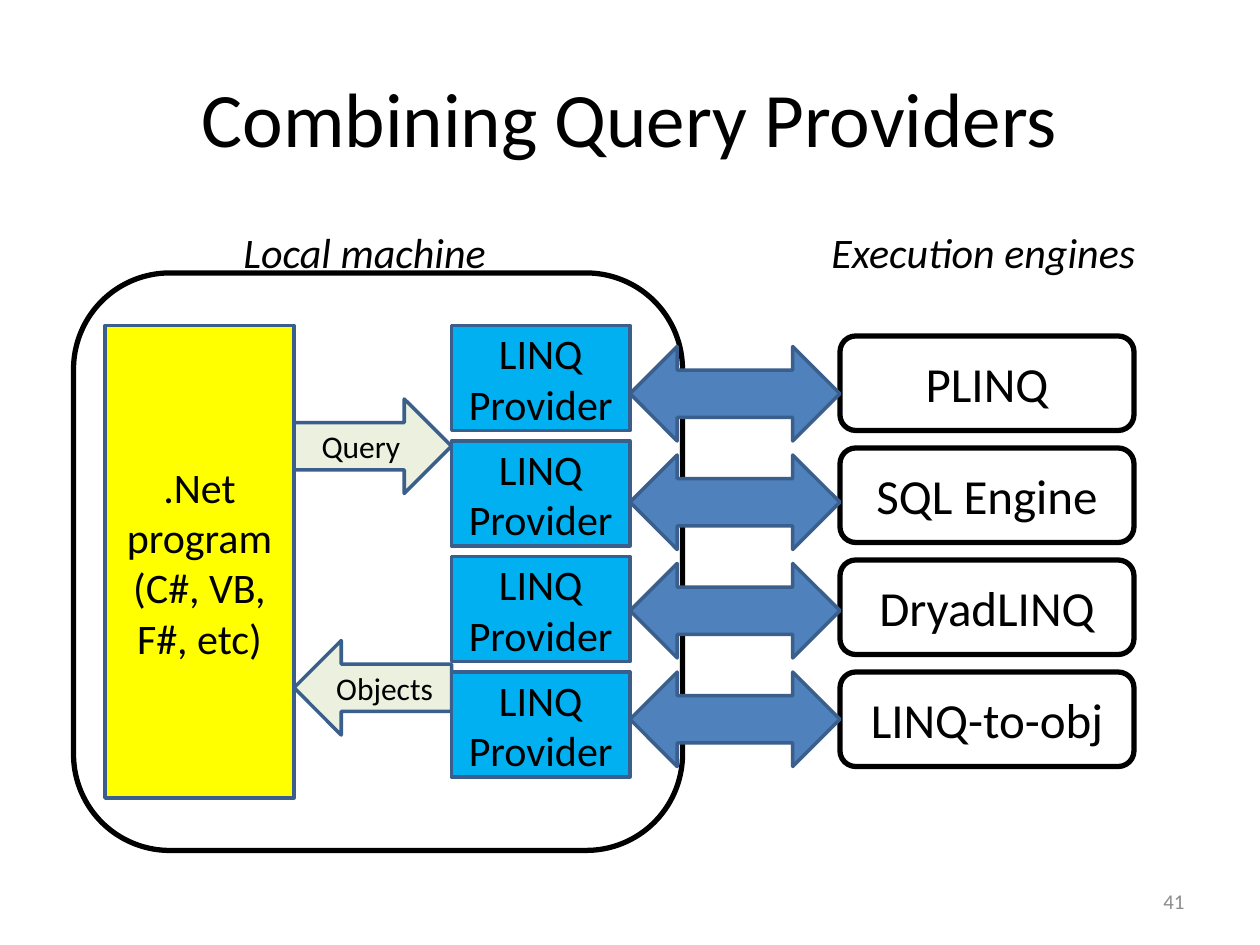
from pptx import Presentation
from pptx.dml.color import RGBColor
from pptx.enum.shapes import MSO_SHAPE
from pptx.enum.text import MSO_ANCHOR, PP_ALIGN
from pptx.util import Inches, Pt

RECT, ROUNDED = MSO_SHAPE.RECTANGLE, MSO_SHAPE.ROUNDED_RECTANGLE
RIGHT, LEFT, BOTH = MSO_SHAPE.RIGHT_ARROW, MSO_SHAPE.LEFT_ARROW, MSO_SHAPE.LEFT_RIGHT_ARROW
MIDDLE, TOP = MSO_ANCHOR.MIDDLE, MSO_ANCHOR.TOP
CENTER, ALIGN_LEFT, ALIGN_RIGHT = PP_ALIGN.CENTER, PP_ALIGN.LEFT, PP_ALIGN.RIGHT

CELLS_PER_INCH = 12
BLACK, GREY, EDGE = "000000", "8C8C8C", "3A5F8C"
YELLOW, CYAN, PALE, BLUE = "FFFF00", "00B0F0", "EBF1DE", "4F81BD"
ENGINES = ["PLINQ", "SQL Engine", "DryadLINQ", "LINQ-to-obj"]
LAST_ROW = 64


def colour(value):
    """Turn a hex string into a colour."""
    return RGBColor.from_string(value)


def cells(*lengths):
    """Turn grid columns and rows into lengths."""
    return [Inches(length / CELLS_PER_INCH) for length in lengths]


def write(shape, paragraphs, size, align=CENTER, anchor=MIDDLE, wrap=True, ink=BLACK, italic=False):
    """Fill a shape with formatted paragraphs."""
    frame = shape.text_frame
    frame.text = "\n".join(paragraphs)
    frame.word_wrap = wrap
    frame.vertical_anchor = anchor
    style = {"name": "Calibri", "size": Pt(size), "italic": italic}
    for para in frame.paragraphs:
        para.alignment = align
        for span in para.runs:
            for name, value in style.items():
                setattr(span.font, name, value)
            span.font.color.rgb = colour(ink)


def add_block(page, kind, box, fill=None, edge=EDGE, weight=2):
    """Draw one outlined preset shape in a grid box."""
    shape = page.shapes.add_shape(kind, *cells(*box))
    shape.shadow.inherit = False
    if fill:
        shape.fill.solid()
        shape.fill.fore_color.rgb = colour(fill)
    else:
        shape.fill.background()
    shape.line.color.rgb = colour(edge)
    shape.line.width = Pt(weight)
    return shape


def add_label(page, box, text, size, **style):
    """Place a line of free text in a grid box."""
    write(page.shapes.add_textbox(*cells(*box)), [text], size, **style)


def stack(box, count):
    """Spread equal boxes evenly from the given one down to the last row."""
    left, top, width, height = box
    step = (LAST_ROW - top) / (count - 1)
    return [(left, top + step * index, width, height) for index in range(count)]


def add_title(page, box):
    """Format the title placeholder."""
    title = page.shapes.title
    title.left, title.top, title.width, title.height = cells(*box)
    write(title, ["Combining Query Providers"], 44)


def add_local_machine(page, box):
    """Draw the program, its messages and the providers inside the machine."""
    left, top, width, height = box
    add_block(page, ROUNDED, box, edge=BLACK, weight=3)
    add_label(page, (left + 15, top - 5, 25.8, 6), "Local machine", 24,
              align=ALIGN_LEFT, anchor=TOP, wrap=False, italic=True)
    program = add_block(page, RECT, (left + 3, top + 5, 18, height - 10), YELLOW)
    write(program, [".Net\vprogram", "(C#, VB, F#, etc)"], 24)
    for kind, row, text in ((RIGHT, 12, "Query"), (LEFT, 35, "Objects")):
        message = add_block(page, kind, (left + 21, top + row, 15, 9), PALE)
        write(message, [text], 18, wrap=False)
    for place in stack((left + 36, top + 5, 17, 10), len(ENGINES)):
        write(add_block(page, RECT, place, CYAN), ["LINQ\vProvider"], 24)


def add_engines(page, box):
    """Draw the execution engines under their heading."""
    left, top, width, height = box
    add_label(page, (left - 2, top - 11, 31.7, 6), "Execution engines", 24,
              align=ALIGN_LEFT, anchor=TOP, wrap=False, italic=True)
    for place, name in zip(stack(box, len(ENGINES)), ENGINES):
        write(add_block(page, ROUNDED, place, edge=BLACK, weight=3), [name], 28)


def add_links(page, box):
    """Draw the two-way arrows between providers and engines."""
    for place in stack(box, len(ENGINES)):
        add_block(page, BOTH, place, BLUE)


def main():
    """Build and save the slide."""
    deck = Presentation()
    deck.slide_width, deck.slide_height = Inches(10), Inches(7.5)
    page = deck.slides.add_slide(deck.slide_layouts[5])
    add_title(page, (6, 3.6, 108, 15))
    add_local_machine(page, (7, 26, 58, 55))
    add_engines(page, (80, 32, 28, 9))
    add_links(page, (60, 33, 20, 9))
    add_label(page, (86, 83.4, 28, 4.8), "41", 12, align=ALIGN_RIGHT, ink=GREY)
    deck.save("out.pptx")


if __name__ == "__main__":
    main()
